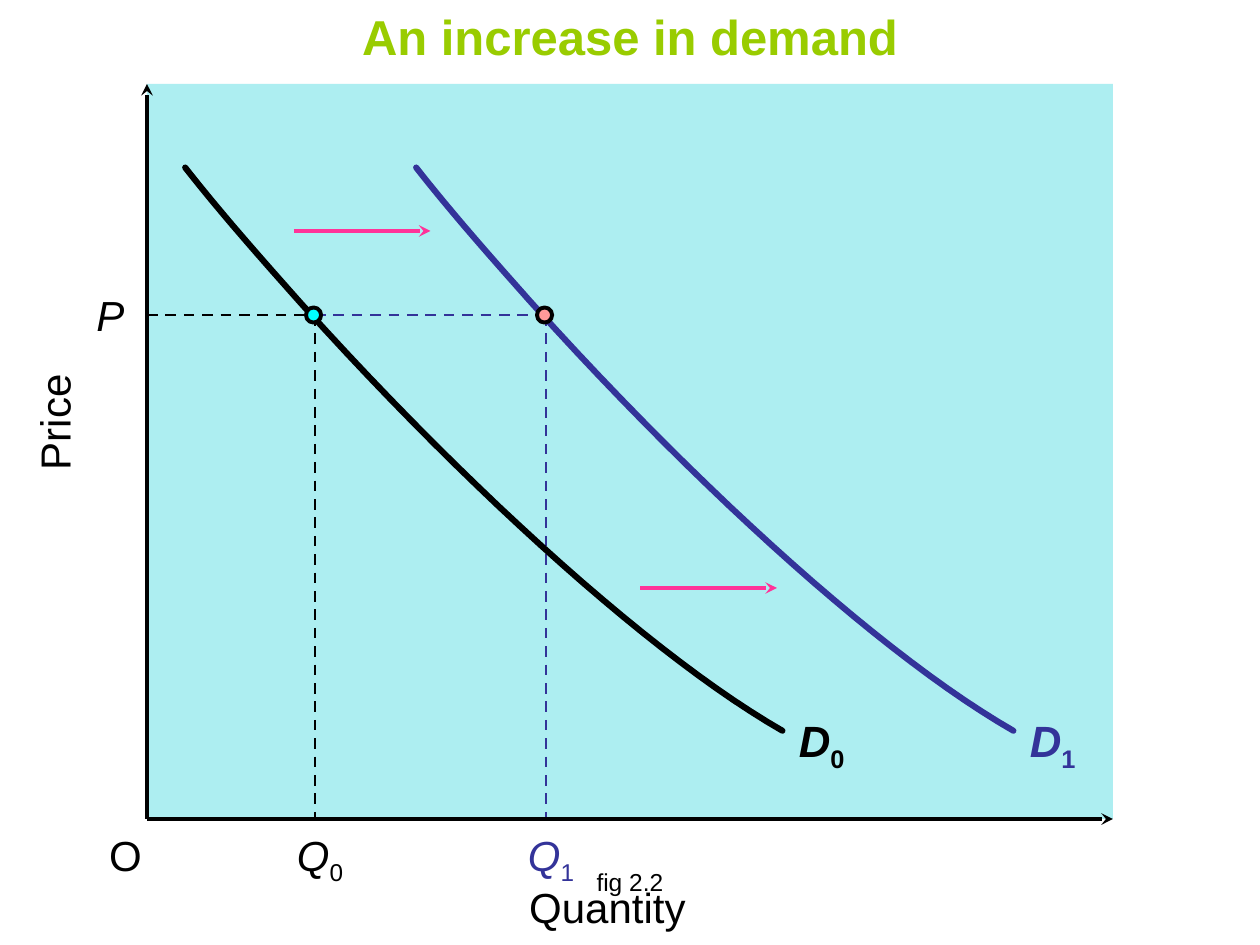
from dataclasses import dataclass

from lxml import etree
from pptx import Presentation
from pptx import util as u
from pptx.dml.color import RGBColor
from pptx.enum import dml, shapes, text
from pptx.oxml import ns


@dataclass(frozen=True)
class Theme:
    font: str = "Arial"
    ink: str = "000000"
    shifted: str = "333399"
    panel: str = "ADEEF1"
    arrow: str = "FF3399"
    title: str = "99CC00"
    first_dot: str = "00FFFF"
    second_dot: str = "FF9999"
    title_size: float = 28
    curve_size: float = 25
    label_size: float = 24
    note_size: float = 14
    dash_width: float = 1.5
    line_width: float = 2.25
    curve_width: float = 3.5


class Diagram:
    COLUMNS, ROWS = 60, 45

    def __init__(self, presentation, theme):
        self.theme = theme
        self.slide = presentation.slides.add_slide(presentation.slide_layouts[6])
        self.column = presentation.slide_width / self.COLUMNS
        self.row = presentation.slide_height / self.ROWS

    def place(self, x, y):
        return round(x * self.column), round(y * self.row)

    def shape(self, kind, left, top, width, height, fill, outline=None):
        shape = self.slide.shapes.add_shape(
            kind, *self.place(left, top), *self.place(width, height))
        shape.shadow.inherit = False
        shape.fill.solid()
        shape.fill.fore_color.rgb = RGBColor.from_string(fill)
        if outline:
            self.stroke(shape.line, outline, self.theme.line_width)
        else:
            shape.line.fill.background()

    def dot(self, x, y, fill, size=0.72):
        self.shape(shapes.MSO_SHAPE.OVAL, x - size / 2, y - size / 2,
                   size, size, fill, self.theme.ink)

    def stroke(self, line, color, width):
        line.color.rgb = RGBColor.from_string(color)
        line.width = u.Pt(width)

    def line(self, start, end, color, arrow=False):
        connector = self.slide.shapes.add_connector(
            shapes.MSO_CONNECTOR.STRAIGHT, *self.place(*start), *self.place(*end))
        properties = connector.line
        if arrow:
            self.stroke(properties, color, self.theme.line_width)
            etree.SubElement(properties._get_or_add_ln(), ns.qn("a:tailEnd"), type="stealth")
        else:
            self.stroke(properties, color, self.theme.dash_width)
            properties.dash_style = dml.MSO_LINE.DASH
        etree.SubElement(connector._element.spPr, ns.qn("a:effectLst"))

    def curve(self, segments, shift, color, steps=24):
        points = [segments[0][0]]
        for a, b, c, d in segments:
            for step in range(1, steps + 1):
                t = step / steps
                s = 1 - t
                points.append(tuple(
                    s**3 * i + 3 * s * s * t * j + 3 * s * t * t * k + t**3 * m
                    for i, j, k, m in zip(a, b, c, d)))
        placed = [self.place(x + shift, y) for x, y in points]
        builder = self.slide.shapes.build_freeform(*placed[0])
        builder.add_line_segments(placed[1:], close=False)
        shape = builder.convert_to_shape()
        shape.shadow.inherit = False
        shape.fill.background()
        self.stroke(shape.line, color, self.theme.curve_width)
        outline = shape.line._get_or_add_ln()
        outline.set("cap", "rnd")
        etree.SubElement(outline, ns.qn("a:round"))

    def label(self, words, left, top, width, height, size, color=None, subscript="",
              bold=False, italic=False, centered=False, wrap=False, rotation=0):
        shape = self.slide.shapes.add_textbox(
            *self.place(left, top), *self.place(width, height))
        shape.rotation = rotation
        frame = shape.text_frame
        frame.word_wrap = wrap
        frame.auto_size = text.MSO_AUTO_SIZE.SHAPE_TO_FIT_TEXT
        paragraph = frame.paragraphs[0]
        if centered:
            paragraph.alignment = text.PP_ALIGN.CENTER
        font = paragraph.font
        font.name = self.theme.font
        font.size = u.Pt(size)
        font.bold = bold
        font.color.rgb = RGBColor.from_string(color or self.theme.ink)
        run = paragraph.add_run()
        run.text = words
        run.font.italic = italic
        if subscript:
            lower = paragraph.add_run()
            lower.text = subscript
            lower.font.italic = False
            lower._r.get_or_add_rPr().set("baseline", "-25000")
        return run

    def title(self, words):
        run = self.label(words, 0, 0, self.COLUMNS, 3.4, self.theme.title_size,
                         self.theme.title, bold=True, centered=True, wrap=True)
        effects = etree.SubElement(run._r.get_or_add_rPr(), ns.qn("a:effectLst"))
        shadow = etree.SubElement(effects, ns.qn("a:outerShdw"),
                                  dist=str(u.Pt(1.5)), dir="2700000")
        etree.SubElement(shadow, ns.qn("a:srgbClr"), val=self.theme.ink)


def main():
    presentation = Presentation()
    presentation.slide_width = u.Inches(10)
    presentation.slide_height = u.Inches(7.5)
    theme = Theme()
    diagram = Diagram(presentation, theme)

    left, top, right, bottom = 7, 4, 53, 39
    price, first_quantity, shift = 15, 15, 11
    demand = [
        ((37.26, 34.8), (31.38, 31.44), (22.74, 23.76), (14.4, 14.52)),
        ((14.4, 14.52), (12.48, 12.36), (10.56, 10.2), (8.82, 7.98)),
    ]
    states = [
        ("0", 0, left, theme.ink, theme.first_dot),
        ("1", shift, first_quantity, theme.shifted, theme.second_dot),
    ]

    diagram.label("fig 2.2", 20.5, 41, 19, 3.1, theme.note_size, centered=True, wrap=True)
    diagram.shape(shapes.MSO_SHAPE.RECTANGLE, left, top, right - left, bottom - top, theme.panel)
    for number, offset, start, color, fill in states:
        quantity = first_quantity + offset
        diagram.line((start, price), (quantity, price), color)
        diagram.line((quantity, price), (quantity, bottom), color)
    for number, offset, start, color, fill in states:
        diagram.curve(demand, offset, color)
        diagram.label("D", 37.45 + offset, 33.7, 3.4, 3.5, theme.curve_size, color,
                      number, bold=True, italic=True)
        diagram.label("Q", 13.55 + offset, 39.2, 3.4, 3.35, theme.label_size, color,
                      number, italic=True)
        diagram.dot(first_quantity + offset - 0.07, price, fill)

    diagram.line((left, bottom), (left, top), theme.ink, arrow=True)
    diagram.line((left, bottom), (right, bottom), theme.ink, arrow=True)
    for x, y in [(14, 11), (30.5, 28)]:
        diagram.line((x, y), (x + 6.5, y), theme.arrow, arrow=True)

    diagram.label("Price", -0.3, 18.6, 5.75, 3, theme.label_size, rotation=270)
    diagram.label("P", 4, 13.5, 2.5, 3, theme.label_size, italic=True)
    diagram.label("O", 4.6, 39.2, 2.75, 3, theme.label_size, centered=True)
    diagram.label("Quantity", 24.6, 41.7, 8.65, 3, theme.label_size, centered=True)
    diagram.title("An increase in demand")
    presentation.save("out.pptx")


if __name__ == "__main__":
    main()
